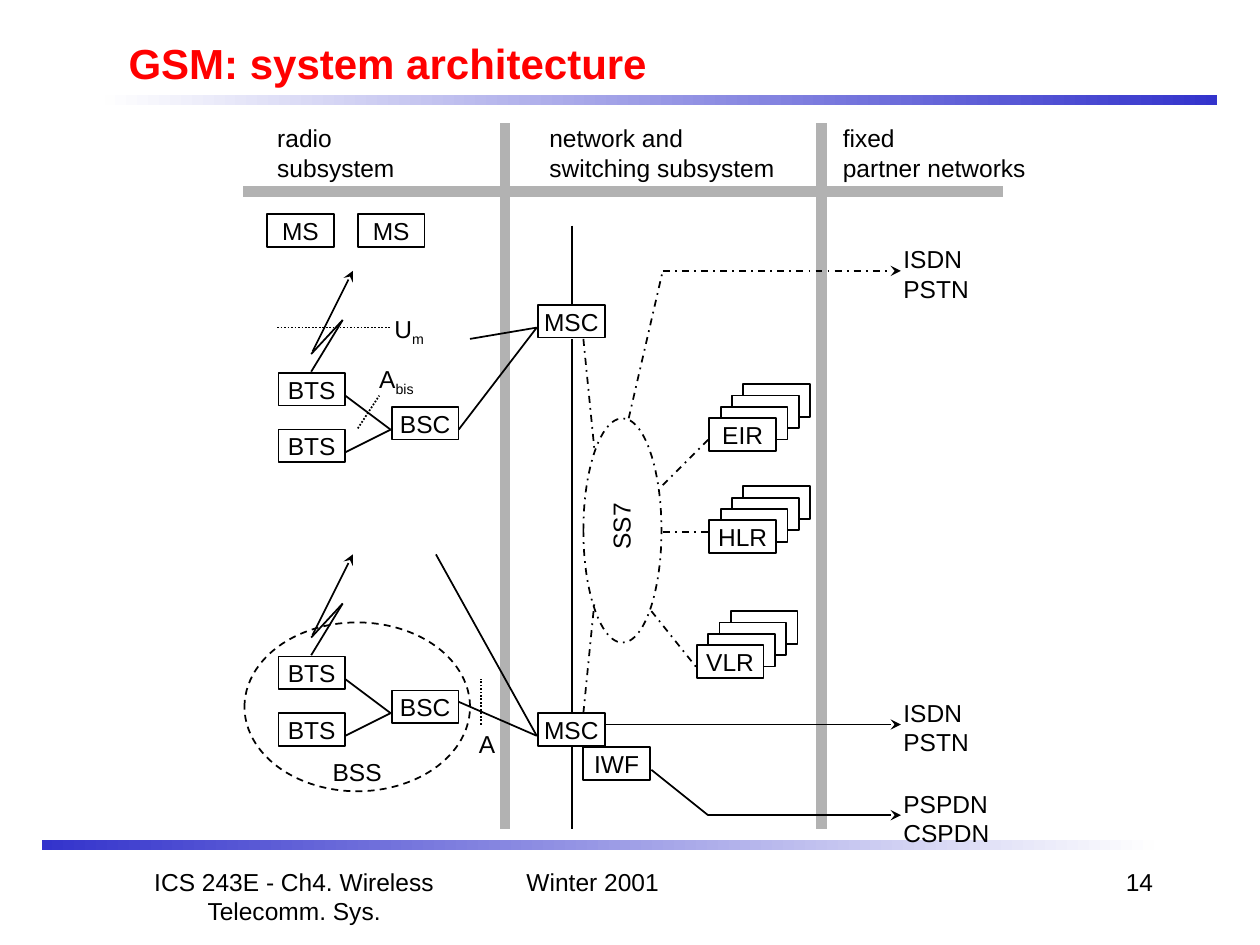
"""Build the GSM system architecture slide."""
from dataclasses import dataclass
from typing import Optional

from lxml.etree import SubElement
from pptx import Presentation
from pptx.dml.color import RGBColor as RGB
from pptx.enum.dml import MSO_LINE_DASH_STYLE as Dash
from pptx.enum.shapes import MSO_CONNECTOR as Conn, MSO_SHAPE as Shape
from pptx.enum.text import MSO_ANCHOR as Anchor, PP_ALIGN as Align
from pptx.oxml.ns import qn
from pptx.util import Emu, Pt

PX = 9144
BOX_W, BOX_H, STACK_STEP = 53, 26, 9
LOWER_BSS = 225


@dataclass(frozen=True)
class Theme:
    font: str = "Arial"
    title: RGB = RGB(0xFF, 0x00, 0x00)
    ink: RGB = RGB(0x00, 0x00, 0x00)
    paper: RGB = RGB(0xFF, 0xFF, 0xFF)
    fade: RGB = RGB(0xFE, 0xFE, 0xFE)
    bar: RGB = RGB(0x33, 0x33, 0xCC)
    divider: RGB = RGB(0xB2, 0xB2, 0xB2)
    title_size: int = 24
    text_size: int = 14
    thin: int = 1
    thick: int = 6


T = Theme()


@dataclass(frozen=True)
class Label:
    x: int
    y: int
    w: int
    h: int
    text: str
    sub: str = ""
    rotation: int = 0
    align: Align = Align.LEFT
    inset: tuple[int, int] = (11, 6)


@dataclass(frozen=True)
class Node:
    x: int
    y: int
    text: str = ""
    filled: bool = False


@dataclass(frozen=True)
class Link:
    x1: int
    y1: int
    x2: int
    y2: int
    dash: Optional[Dash] = None
    arrow: bool = False
    color: RGB = T.ink
    width: int = T.thin


@dataclass(frozen=True)
class Stack:
    x: int
    y: int
    text: str


def px(*values: int) -> list[Emu]:
    return [Emu(v * PX) for v in values]


def style(tf, size: int, color: RGB, align: Align, bold: bool = False) -> None:
    for p in tf.paragraphs:
        p.alignment = align
        for r in p.runs:
            r.font.name, r.font.size, r.font.bold = T.font, Pt(size), bold
            r.font.color.rgb = color


def set_insets(tf, dx: int, dy: int) -> None:
    tf.margin_left = tf.margin_right = Emu(dx * PX)
    tf.margin_top = tf.margin_bottom = Emu(dy * PX)


def add_outline(s, kind: Shape, x: int, y: int, w: int, h: int,
                dash: Optional[Dash] = None, filled: bool = False):
    sp = s.shapes.add_shape(kind, *px(x, y, w, h))
    sp.shadow.inherit = False
    if filled:
        sp.fill.solid()
        sp.fill.fore_color.rgb = T.paper
    else:
        sp.fill.background()
    sp.line.color.rgb, sp.line.width = T.ink, Pt(T.thin)
    if dash is not None:
        sp.line.dash_style = dash
    return sp


def add_node(s, n: Node) -> None:
    sp = add_outline(s, Shape.RECTANGLE, n.x, n.y, BOX_W, BOX_H, filled=n.filled)
    if n.text:
        tf = sp.text_frame
        tf.text, tf.word_wrap, tf.vertical_anchor = n.text, False, Anchor.MIDDLE
        style(tf, T.text_size, T.ink, Align.CENTER)


def add_stack(s, k: Stack) -> None:
    for i in (3, 2, 1, 0):
        shift = i * STACK_STEP
        add_node(s, Node(k.x + shift, k.y - shift, "" if i else k.text, True))


def add_link(s, k: Link) -> None:
    c = s.shapes.add_connector(Conn.STRAIGHT, *px(k.x1, k.y1, k.x2, k.y2))
    c.line.color.rgb, c.line.width = k.color, Pt(k.width)
    if k.dash is not None:
        c.line.dash_style = k.dash
    if k.arrow:
        SubElement(c.line._get_or_add_ln(), qn("a:tailEnd"), type="stealth")
    SubElement(c._element.spPr, qn("a:effectLst"))


def add_label(s, b: Label) -> None:
    sp = s.shapes.add_textbox(*px(b.x, b.y, b.w, b.h))
    sp.rotation = b.rotation
    tf = sp.text_frame
    tf.text, tf.word_wrap = b.text, True
    set_insets(tf, *b.inset)
    if b.sub:
        r = tf.paragraphs[0].add_run()
        r.text = b.sub
        r.font._element.set("baseline", "-25000")
    style(tf, T.text_size, T.ink, b.align)


def add_bar(s, x: int, y: int, left: RGB, right: RGB) -> None:
    sp = s.shapes.add_shape(Shape.RECTANGLE, *px(x, y, 883, 8))
    sp.shadow.inherit = False
    sp.line.fill.background()
    sp.fill.gradient()
    sp.fill.gradient_angle = 0
    for stop, color in zip(sp.fill.gradient_stops, (left, right)):
        stop.color.rgb = color


def add_base_station(s, dy: int) -> None:
    for x1, y1, x2, y2, arrow in ((247, 295, 272, 254, False), (272, 254, 247, 281, False),
                                  (248, 279, 280, 215, True), (274, 314, 310, 341, False),
                                  (274, 359, 310, 341, False)):
        add_link(s, Link(x1, y1 + dy, x2, y2 + dy, arrow=arrow))
    for x, y, text in ((221, 296, "BTS"), (311, 323, "BSC"), (221, 341, "BTS")):
        add_node(s, Node(x, y + dy, text))


DIVIDERS = [Link(*ends, color=T.divider, width=T.thick) for ends in (
    (401, 98, 401, 658), (652, 98, 652, 658), (193, 152, 572, 152), (418, 152, 796, 152))]
LINKS = [
    Link(220, 260, 310, 260, Dash.ROUND_DOT), Link(284, 340, 301, 314, Dash.ROUND_DOT),
    Link(382, 575, 382, 539, Dash.ROUND_DOT),
    Link(364, 341, 426, 260), Link(364, 557, 426, 584),
    Link(426, 260, 373, 269), Link(426, 584, 346, 440),
    Link(454, 179, 454, 242), Link(454, 269, 454, 566), Link(454, 593, 454, 658),
    Link(481, 575, 715, 575, arrow=True),
    Link(517, 611, 562, 647), Link(562, 647, 715, 647, arrow=True),
    Link(463, 269, 472, 359, Dash.DASH_DOT), Link(463, 566, 472, 476, Dash.DASH_DOT),
    Link(526, 385, 562, 349, Dash.DASH_DOT), Link(526, 422, 562, 422, Dash.DASH_DOT),
    Link(517, 485, 553, 530, Dash.DASH_DOT), Link(499, 332, 526, 215, Dash.DASH_DOT),
    Link(526, 215, 715, 215, Dash.DASH_DOT, True)]
NODES = [Node(212, 170, "MS"), Node(284, 170, "MS"), Node(427, 242, "MSC"),
         Node(427, 566, "MSC"), Node(463, 593, "IWF")]
STACKS = [Stack(563, 332, "EIR"), Stack(563, 413, "HLR"), Stack(553, 512, "VLR")]
LABELS = [
    Label(209, 92, 141, 58, "radio\vsubsystem"),
    Label(425, 92, 208, 58, "network and switching subsystem"),
    Label(658, 92, 177, 58, "fixed\vpartner networks"),
    Label(302, 243, 70, 38, "U", "m"), Label(290, 283, 70, 38, "A", "bis"),
    Label(369, 573, 39, 34, "A"), Label(253, 595, 63, 34, "BSS"),
    Label(456, 394, 72, 34, "SS7", rotation=270),
    Label(706, 188, 79, 58, "ISDN\vPSTN"), Label(706, 548, 88, 58, "ISDN\vPSTN"),
    Label(706, 620, 97, 58, "PSPDN\vCSPDN"),
    Label(75, 683, 317, 50, "ICS 243E - Ch4. Wireless Telecomm. Sys.",
          align=Align.CENTER, inset=(10, 5)),
    Label(408, 683, 208, 50, "Winter 2001", inset=(10, 5)),
    Label(717, 683, 208, 50, "14", align=Align.RIGHT, inset=(10, 5))]


def main() -> None:
    prs = Presentation()
    prs.slide_width, prs.slide_height = px(1000, 750)
    s = prs.slides.add_slide(prs.slide_layouts[5])
    title = s.shapes.title
    title.left, title.top, title.width, title.height = px(92, 25, 850, 50)
    tf = title.text_frame
    tf.text, tf.vertical_anchor = "GSM: system architecture", Anchor.MIDDLE
    set_insets(tf, 10, 5)
    style(tf, T.title_size, T.title, Align.LEFT, bold=True)

    add_bar(s, 83, 75, T.fade, T.bar)
    add_bar(s, 33, 667, T.bar, T.fade)
    for link in DIVIDERS + LINKS:
        add_link(s, link)
    for dy in (0, LOWER_BSS):
        add_base_station(s, dy)
    add_outline(s, Shape.OVAL, 194, 494, 179, 134, Dash.DASH)
    add_outline(s, Shape.OVAL, 463, 332, 62, 178, Dash.DASH_DOT)
    for node in NODES:
        add_node(s, node)
    for stack in STACKS:
        add_stack(s, stack)
    for label in LABELS:
        add_label(s, label)
    prs.save("out.pptx")


if __name__ == "__main__":
    main()
